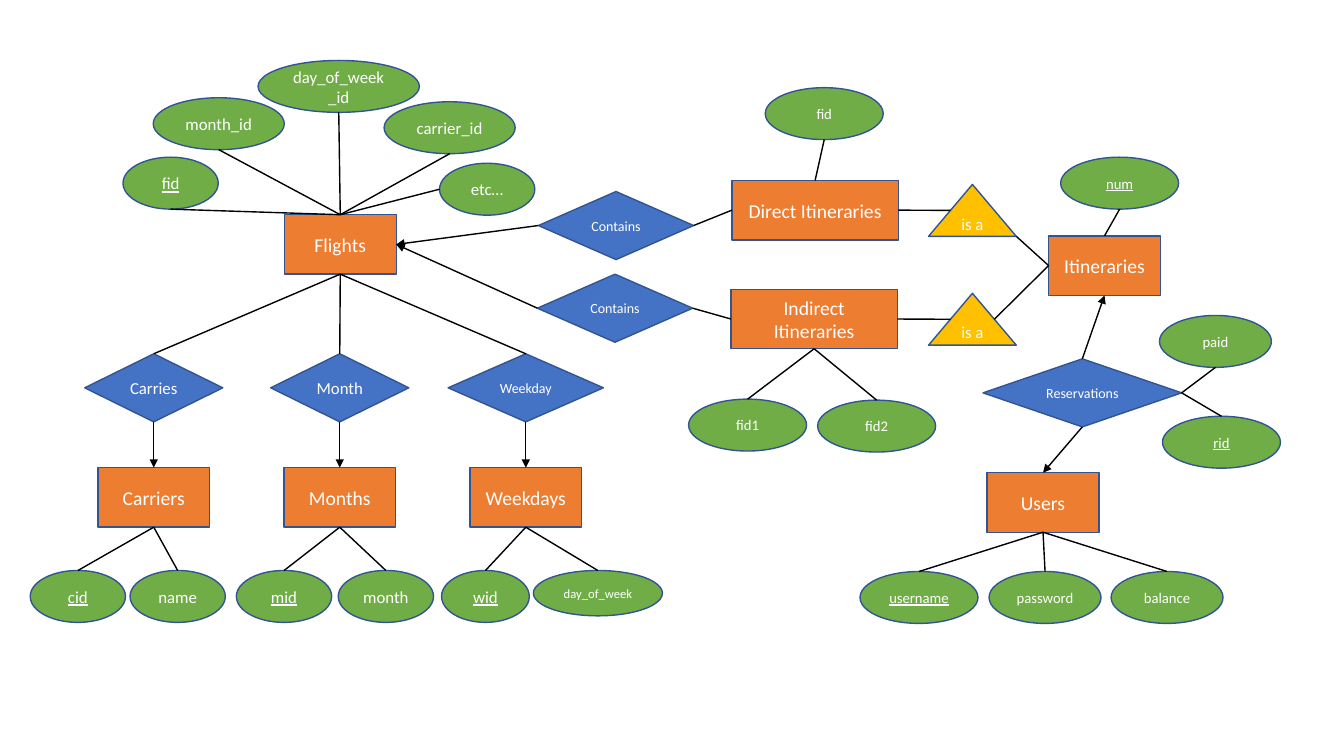
from dataclasses import dataclass

from lxml.etree import SubElement as Sub
from pptx import Presentation
from pptx.dml.color import RGBColor as Rgb
from pptx.enum.shapes import MSO_CONNECTOR as Line, MSO_SHAPE as Kind
from pptx.enum.text import MSO_ANCHOR as Anchor, PP_ALIGN as Align
from pptx.oxml.ns import qn
from pptx.util import Inches, Pt


@dataclass(frozen=True)
class Theme:
    """Colours, type sizes and font of the diagram."""
    box: str = "ED7D31"
    bond: str = "4472C4"
    oval: str = "70AD47"
    isa: str = "FFC000"
    edge: str = "325491"
    ink: str = "000000"
    text: str = "FFFFFF"
    font: str = "Calibri"
    head: float = 14
    body: float = 12
    note: float = 10.5
    small: float = 10
    tiny: float = 9


@dataclass(frozen=True)
class Area:
    """A region on a grid of ten cells to the inch."""
    col: float
    row: float
    wide: float
    high: float

    def place(self, col, row, wide, high):
        """Turn cells of this region into slide lengths."""
        cells = (self.col + col, self.row + row, wide, high)
        return [Inches(cell / 10) for cell in cells]


T = Theme()
TOP, LEFT, BOTTOM, RIGHT = range(4)
SPOTS = {TOP: (.5, 0), LEFT: (0, .5), BOTTOM: (.5, 1), RIGHT: (1, .5),
         "slope in": (.25, .5), "slope out": (.75, .5), "foot": (1, 1)}
GLUED = (Kind.RECTANGLE, Kind.FLOWCHART_DECISION)

deck = Presentation()
deck.slide_width, deck.slide_height = Inches(13.33), Inches(7.5)
slide = deck.slides.add_slide(deck.slide_layouts[6])


def node(kind, fill, area, cells, word, size, key=False):
    """Add a filled shape with one centred word; a key is underlined."""
    shape = slide.shapes.add_shape(kind, *area.place(*cells))
    shape.shadow.inherit = False
    shape.fill.solid()
    shape.fill.fore_color.rgb = Rgb.from_string(fill)
    shape.line.color.rgb = Rgb.from_string(T.edge)
    shape.line.width = Pt(1)
    frame = shape.text_frame
    frame.word_wrap = True
    frame.vertical_anchor = Anchor.MIDDLE
    para = frame.paragraphs[0]
    para.alignment = Align.CENTER
    run = para.add_run()
    run.text = word
    run.font.name, run.font.size = T.font, Pt(size)
    run.font.color.rgb = Rgb.from_string(T.text)
    if key:
        run.font.underline = True
    return shape


def entity(area, col, row, word, wide=11.1):
    """Add an entity box."""
    return node(Kind.RECTANGLE, T.box, area, (col, row, wide, 5.9), word, T.head)


def bond(area, col, row, wide, word, size=T.small):
    """Add a relationship diamond."""
    return node(Kind.FLOWCHART_DECISION, T.bond, area, (col, row, wide, 6.75), word, size)


def oval(area, col, row, wide, word, size=T.note, key=False, high=5.15):
    """Add an attribute oval."""
    return node(Kind.OVAL, T.oval, area, (col, row, wide, high), word, size, key)


def point(shape, spot):
    """Find a named spot on a shape."""
    across, down = SPOTS[spot]
    return (int(shape.left + across * shape.width),
            int(shape.top + down * shape.height))


def link(start, leave, end, enter, arrow=False):
    """Join two shapes, with an arrowhead at the end if asked."""
    line = slide.shapes.add_connector(
        Line.STRAIGHT, *point(start, leave), *point(end, enter))
    if start.auto_shape_type in GLUED:
        line.begin_connect(start, leave)
    if end.auto_shape_type in GLUED:
        line.end_connect(end, enter)
    line.line.color.rgb = Rgb.from_string(T.ink)
    line.line.width = Pt(1)
    props = line._element.spPr
    if arrow:
        Sub(props.find(qn("a:ln")), qn("a:tailEnd"), type="triangle")
    Sub(props, qn("a:effectLst"))


def flights(area):
    """Build the flights entity and its attributes."""
    hub = entity(area, 16, 15.3, "Flights")
    for col, row, wide, word, key, side in (
            (0, 9.6, 9.45, "fid", True, BOTTOM),
            (3, 3.7, 13, "month_id", False, BOTTOM),
            (13.4, 0, 16, "day_of_week_id", False, BOTTOM),
            (25.9, 4.1, 13, "carrier_id", False, BOTTOM),
            (31.4, 10.2, 9.45, "etc…", False, LEFT)):
        link(oval(area, col, row, wide, word, T.body, key), side, hub, TOP)
    return hub


def lookup(area, hub, tie, wide, size, name, parts):
    """Build a chain from the hub through a diamond to a lookup entity."""
    gem = bond(area, (area.wide - wide) / 2, 0, wide, tie, size)
    home = entity(area, 0, 11.3, name, area.wide)
    link(hub, BOTTOM, gem, TOP)
    link(gem, BOTTOM, home, TOP, True)
    for col, *part in parts:
        link(home, BOTTOM, oval(area, col, area.high - 5.15, *part), TOP)


def route(area, hub, name, dip, parts, side, leave):
    """Build one kind of itinerary, from the hub to its is-a triangle."""
    gem = bond(area, 0, dip, 15.4, "Contains")
    home = entity(area, 19.2, 0, name, 16.5)
    isa = node(Kind.ISOSCELES_TRIANGLE, T.isa, area,
               (area.wide - 8.7, .4, 8.7, 5.15), "is a", T.body)
    link(gem, LEFT, hub, RIGHT, True)
    link(home, LEFT, gem, RIGHT)
    link(home, RIGHT, isa, "slope in")
    for col, row, word in parts:
        part = oval(area, col, row, 11.7, word)
        link(home, side, part, BOTTOM if side == TOP else TOP)
    return isa, leave


def booking(area, kinds):
    """Build itineraries, reservations and users."""
    trip = entity(area, 18.7, 7.8, "Itineraries")
    link(oval(area, 19.9, 0, 11.7, "num", key=True), BOTTOM, trip, TOP)
    for isa, leave in kinds:
        link(isa, leave, trip, LEFT)
    gem = bond(area, 12.2, 20, 19.7, "Reservations")
    user = entity(area, 12.6, 31.3, "Users")
    link(gem, TOP, trip, BOTTOM, True)
    link(gem, BOTTOM, user, TOP, True)
    link(oval(area, 29.7, 15.7, 11.1, "paid"), BOTTOM, gem, RIGHT)
    link(oval(area, 30, 25.7, 11.7, "rid", key=True), TOP, gem, RIGHT)
    for col, wide, word, key in ((0, 11.7, "username", True),
                                 (12.8, 11.1, "password", False),
                                 (24.9, 11.1, "balance", False)):
        link(oval(area, col, 41.1, wide, word, key=key), TOP, user, BOTTOM)


hub = flights(Area(12.2, 6, 40.85, 21.2))
chains = (
    ("Carries", 13.7, T.body, "Carriers",
     ((-6.7, 9.45, "cid", T.body, True), (3.2, 9.45, "name", T.body))),
    ("Month", 13.7, T.body, "Months",
     ((-4.7, 9.45, "mid", T.body, True), (5.4, 9.45, "month", T.body))),
    ("Weekday", 15.4, T.small, "Weekdays",
     ((-2.8, 8.7, "wid", T.body, True),
      (6.3, 12.8, "day_of_week", T.tiny, False, 4.5))))
for step, chain in enumerate(chains):
    lookup(Area(9.7 + 18.45 * step, 35.1, 11.1, 26.65), hub, *chain)

kinds = (
    route(Area(53.4, 17.9, 47.4, 6), hub, "Direct Itineraries", 1.1,
          ((22.5, -9.2, "fid"),), TOP, "foot"),
    route(Area(53.3, 28.7, 47.5, 6), hub, "Indirect Itineraries", -1.5,
          ((15, 10.9, "fid1"), (27.8, 11, "fid2")), BOTTOM, "slope out"))
booking(Area(85.3, 15.6, 41.7, 46.3), kinds)
deck.save("out.pptx")
